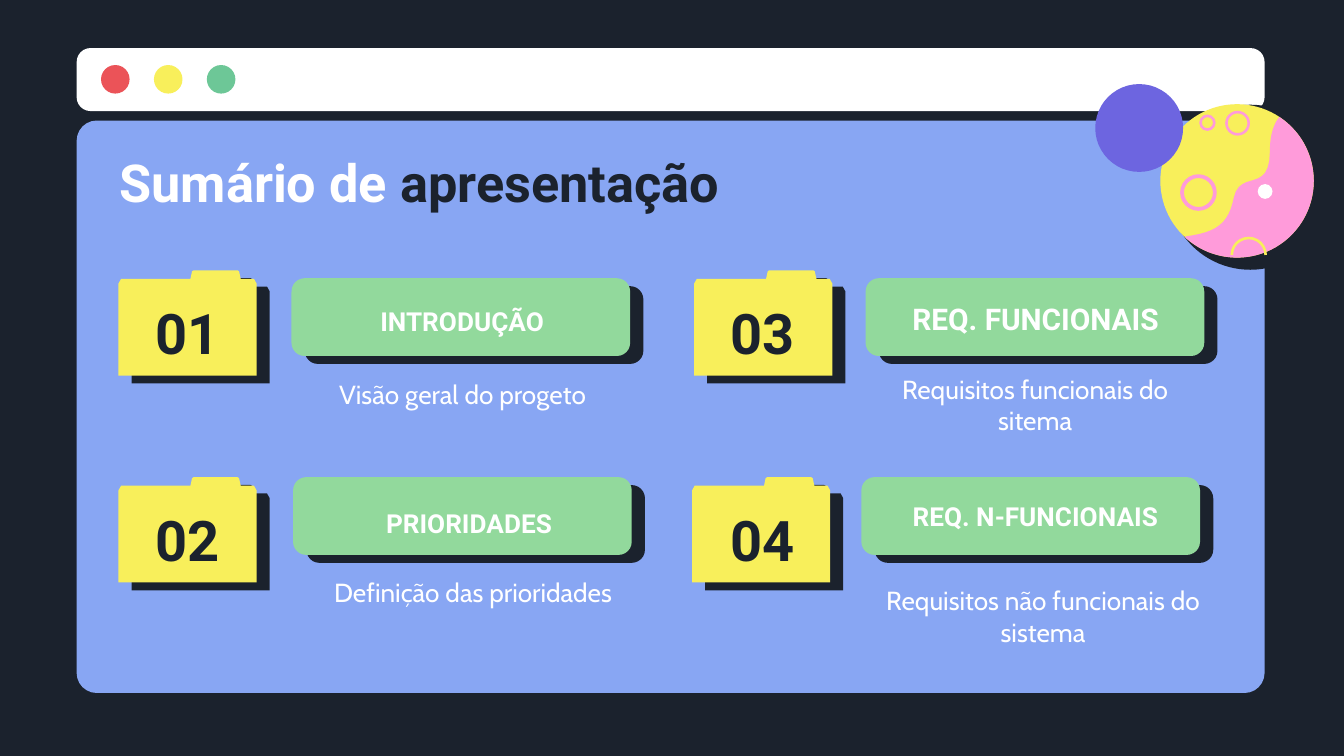
import math

from pptx import Presentation
from pptx import util as u
from pptx.dml.color import RGBColor
from pptx.enum import shapes, text
from pptx.oxml import parse_xml
from pptx.oxml.ns import nsdecls

COLORS = {
    "dark": "1B222D", "white": "FFFFFF", "red": "EB5358", "yellow": "F8EF5B", "green": "6DC797",
    "panel": "88A6F3", "pink": "FF9BDA", "purple": "6D65E0", "pill": "92D99C",
}
TITLE = [("Sumário de ", "white"), ("apresentação", "dark")]
CARDS = [
    {"number": "01", "heading": "INTRODUÇÃO", "size": 14, "blurb": "Visão geral do progeto",
     "folder": (2.24, 5.11), "pill": (5.51, 5.26), "label": (2.44, 5.46),
     "heading_box": (6.12, 5.49, 5.23), "blurb_at": (5.64, 6.91)},
    {"number": "02", "heading": "PRIORIDADES", "size": 14, "blurb": "Definição das prioridades",
     "folder": (2.24, 9.02), "pill": (5.54, 9.02), "label": (2.44, 9.37),
     "heading_box": (6.25, 9.32, 5.23), "blurb_at": (5.84, 10.64)},
    {"number": "03", "heading": "REQ. FUNCIONAIS", "size": 16, "blurb": "Requisitos funcionais do sitema",
     "folder": (13.12, 5.11), "pill": (16.36, 5.26), "label": (13.31, 5.46),
     "heading_box": (16.69, 5.49, 5.77), "blurb_at": (16.46, 6.81)},
    {"number": "04", "heading": "REQ. N-FUNCIONAIS", "size": 14, "blurb": "Requisitos não funcionais do sistema",
     "folder": (13.08, 9.02), "pill": (16.28, 9.02), "label": (13.31, 9.37),
     "heading_box": (16.61, 9.19, 5.92), "blurb_at": (16.61, 10.8)},
]
DOTS = ["red", "yellow", "green"]
FOLDER = [(0, 0.25), (0.05, 0.16), (1.36, 0.16), (1.39, 0.02), (1.42, 0), (2.25, 0), (2.28, 0.02),
          (2.31, 0.16), (2.56, 0.16), (2.61, 0.25), (2.61, 1.99), (0, 1.99)]
PLANET_CENTER, PLANET_RADIUS = (23.38, 3.42), 1.45
COAST = [
    [(22.4, 4.47), (23.01, 4.39), (23.22, 4.22), (23.32, 3.73)],
    [(23.32, 3.73), (23.44, 3.2), (24, 3.66), (24, 2.87)],
    [(24, 2.87), (24, 2.49), (24.1, 2.31), (24.18, 2.21)],
]
CRATERS = [((23.39, 2.33), 0.21, 1.4), ((22.65, 3.64), 0.31, 2), ((22.82, 2.32), 0.13, 1.4)]


def color(name):
    """Return the named colour."""
    return RGBColor.from_string(COLORS[name])


def paint(shape, name):
    """Give a shape a flat fill without line or shadow."""
    shape.shadow.inherit = False
    shape.fill.solid()
    shape.fill.fore_color.rgb = color(name)
    shape.line.fill.background()
    return shape


def add_rounded(slide, box, radius, name):
    """Add a rounded rectangle."""
    shape = slide.shapes.add_shape(shapes.MSO_SHAPE.ROUNDED_RECTANGLE, *map(u.Cm, box))
    shape.adjustments[0] = radius
    return paint(shape, name)


def add_round(slide, center, radius, name, kind=shapes.MSO_SHAPE.OVAL):
    """Add a circle or an arc around a centre."""
    left, top = (value - radius for value in center)
    shape = slide.shapes.add_shape(kind, *map(u.Cm, (left, top, 2 * radius, 2 * radius)))
    return paint(shape, name)


def outline(shape, name, width):
    """Turn a filled shape into an outline."""
    shape.fill.background()
    shape.line.color.rgb = color(name)
    shape.line.width = u.Pt(width)


def add_polygon(slide, points, name):
    """Add a closed freeform."""
    points = [(u.Cm(x), u.Cm(y)) for x, y in points]
    builder = slide.shapes.build_freeform(*points[0])
    builder.add_line_segments(points[1:], close=True)
    return paint(builder.convert_to_shape(), name)


def bezier(points, steps=12):
    """Return points along a cubic curve."""
    result = []
    for step in range(steps + 1):
        t = step / steps
        weights = ((1 - t) ** 3, 3 * t * (1 - t) ** 2, 3 * t * t * (1 - t), t ** 3)
        result.append(tuple(sum(w * p[axis] for w, p in zip(weights, points)) for axis in (0, 1)))
    return result


def style(run, font, size, name, bold):
    """Format a run."""
    run.font.name, run.font.size, run.font.bold = font, u.Pt(size), bold
    run.font.color.rgb = color(name)


def set_frame(frame, anchor, side=0.25):
    """Set wrapping, anchor and insets of a text frame."""
    frame.word_wrap = True
    frame.auto_size = text.MSO_AUTO_SIZE.NONE
    frame.vertical_anchor = anchor
    frame.margin_left = frame.margin_right = u.Cm(side)
    frame.margin_top = frame.margin_bottom = u.Cm(0.25)


def add_text(slide, box, words, anchor, font, size, name="white", bold=True, side=0.25):
    """Add a centred text box."""
    frame = slide.shapes.add_textbox(*map(u.Cm, box)).text_frame
    set_frame(frame, anchor, side)
    frame.text = words
    frame.paragraphs[0].alignment = text.PP_ALIGN.CENTER
    style(frame.paragraphs[0].runs[0], font, size, name, bold)


def add_window(slide):
    """Draw the browser window."""
    add_rounded(slide, (1.45, 0.91, 22.45, 1.19), 0.22, "white")
    for index, name in enumerate(DOTS):
        add_round(slide, (2.18 + index, 1.5), 0.27, name)
    add_rounded(slide, (1.45, 2.28, 22.45, 10.82), 0.035, "panel")


def add_planet(slide):
    """Draw the planet and its moon."""
    add_round(slide, (23.63, 3.54), 1.56, "dark")
    add_round(slide, PLANET_CENTER, PLANET_RADIUS, "yellow")
    edge = [tuple(c + PLANET_RADIUS * turn(math.radians(angle))
                  for c, turn in zip(PLANET_CENTER, (math.cos, math.sin)))
            for angle in range(-56, 133, 4)]
    add_polygon(slide, edge + [point for curve in COAST for point in bezier(curve)], "pink")
    for center, radius, width in CRATERS:
        outline(add_round(slide, center, radius, "pink"), "pink", width)
    arc = add_round(slide, (23.6, 4.82), 0.32, "yellow", shapes.MSO_SHAPE.ARC)
    arc.adjustments[0], arc.adjustments[1] = 108, 0
    outline(arc, "yellow", 1.4)
    add_round(slide, (23.91, 3.62), 0.14, "white")
    add_round(slide, (21.53, 2.42), 0.83, "purple")


def add_folder(slide, left, top):
    """Draw a folder with a hard shadow."""
    shape = add_polygon(slide, [(left + x, top + y) for x, y in FOLDER], "yellow")
    properties = shape._element.spPr
    effects = properties.find("{http://schemas.openxmlformats.org/drawingml/2006/main}effectLst")
    effects.append(parse_xml(
        f'<a:outerShdw {nsdecls("a")} dist="104140" dir="1860000" algn="bl" rotWithShape="0">'
        f'<a:srgbClr val="{COLORS["dark"]}"/></a:outerShdw>'))


def add_card(slide, card):
    """Draw one summary entry."""
    left, top = card["pill"]
    for shift_x, shift_y, name in ((0.25, 0.15, "dark"), (0, 0, "pill")):
        add_rounded(slide, (left + shift_x, top + shift_y, 6.4, 1.47), 0.17, name)
    add_folder(slide, *card["folder"])
    anchors = text.MSO_ANCHOR
    add_text(slide, (*card["label"], 2.21, 1.65), card["number"], anchors.MIDDLE, "Roboto", 30, "dark")
    add_text(slide, (*card["heading_box"], 1.12), card["heading"], anchors.BOTTOM, "Roboto", card["size"])
    add_text(slide, (*card["blurb_at"], 6.21, 1.47), card["blurb"], anchors.TOP, "Cabin", 14,
             bold=False, side=0)


def add_title(slide):
    """Format the title and bring it to the front."""
    title = slide.shapes.title
    title.left, title.top, title.width, title.height = map(u.Cm, (2.01, 2.59, 21.39, 1.57))
    set_frame(title.text_frame, text.MSO_ANCHOR.TOP)
    paragraph = title.text_frame.paragraphs[0]
    paragraph.alignment = text.PP_ALIGN.LEFT
    for words, name in TITLE:
        run = paragraph.add_run()
        run.text = words
        style(run, "Roboto", 28, name, True)
    slide.shapes._spTree.append(title._element)


def main():
    """Build the summary slide."""
    presentation = Presentation()
    presentation.slide_width, presentation.slide_height = u.Cm(25.4), u.Cm(14.29)
    slide = presentation.slides.add_slide(presentation.slide_layouts[5])
    slide.background.fill.solid()
    slide.background.fill.fore_color.rgb = color("dark")
    add_window(slide)
    add_planet(slide)
    for card in CARDS:
        add_card(slide, card)
    add_title(slide)
    presentation.save("out.pptx")


if __name__ == "__main__":
    main()
